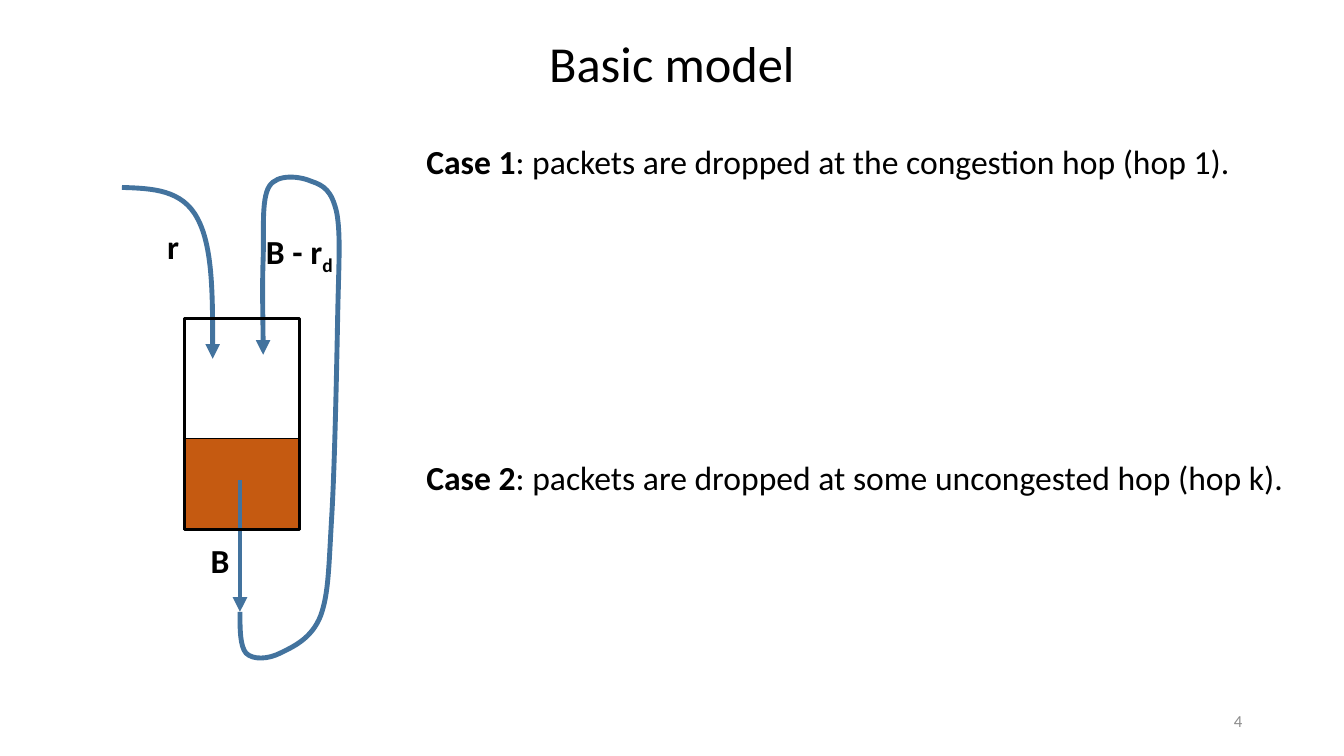
from lxml import etree
from pptx import Presentation
from pptx.dml.color import RGBColor
from pptx.enum.shapes import MSO_CONNECTOR, MSO_SHAPE
from pptx.enum.text import MSO_ANCHOR, PP_ALIGN
from pptx.oxml.ns import qn
from pptx.util import Inches, Pt

# Content: each label is (left, top, width, runs)
TITLE = "Basic model"
BOLD, LABEL_HEIGHT = {"bold": True}, 0.5
LABELS = [
    (1.56, 2.19, 0.36, [("r", BOLD)]),
    (2.54, 2.24, 1.04, [("B - r", BOLD), ("d", {"bold": True, "sub": True})]),
    (1.99, 5.31, 0.33, [("B", BOLD)]),
    (4.13, 1.35, 8.23, [
        ("Case 1", BOLD),
        (": packets are dropped at the congestion hop (hop 1).", {})]),
    (4.13, 4.48, 8.81, [
        ("Case 2", BOLD),
        (": packets are dropped at some uncongested hop (hop k).", {})]),
]
PAGE_NUMBER = "4"

# Flows: start point, then two control points and an end point per curve
INFLOW = [
    (1.21, 1.86),
    (1.51, 1.87), (1.81, 1.88), (1.96, 2.17),
    (2.11, 2.45), (2.11, 3.01), (2.11, 3.56),
]
RETURN_FLOW = [
    (2.38, 6.07),
    (2.38, 6.24), (2.38, 6.41), (2.44, 6.48),
    (2.51, 6.55), (2.66, 6.54), (2.78, 6.48),
    (2.90, 6.42), (3.09, 6.34), (3.18, 6.11),
    (3.26, 5.89), (3.26, 5.63), (3.29, 5.13),
    (3.32, 4.63), (3.34, 3.62), (3.35, 3.11),
    (3.36, 2.61), (3.38, 2.33), (3.34, 2.11),
    (3.29, 1.89), (3.21, 1.84), (3.09, 1.80),
    (2.98, 1.75), (2.75, 1.72), (2.67, 1.85),
    (2.59, 1.98), (2.62, 2.30), (2.61, 2.57),
    (2.60, 2.85), (2.61, 3.19), (2.61, 3.52),
]
CURVED_FLOWS = [
    ((1.21, 1.86, 0.9, 1.7), INFLOW),
    ((2.38, 1.76, 0.98, 4.77), RETURN_FLOW),
]
OUTFLOW = (2.38, 4.76, 2.38, 6.07)
QUEUE = (1.82, 4.35, 1.16, 0.9)
BUFFER = (1.83, 3.16, 1.14, 2.09)

COLORS = {"flow": "43739E", "queue": "C55A11", "ink": "000000", "page": "8C8C8C"}


def color(name):
    return RGBColor.from_string(COLORS[name])


def move(part, place):
    for key, value in zip(("left", "top", "width", "height"), place):
        setattr(part, key, Inches(value))


def write(frame, runs, size, ink="ink", align=PP_ALIGN.LEFT, anchor=MSO_ANCHOR.TOP):
    frame.word_wrap = True
    frame.vertical_anchor = anchor
    paragraph = frame.paragraphs[0]
    paragraph.alignment = align
    for text, style in runs:
        run = paragraph.add_run()
        run.text = text
        formats = {"name": "Calibri", "size": Pt(size), "bold": style.get("bold", False)}
        for key, value in formats.items():
            setattr(run.font, key, value)
        run.font.color.rgb = color(ink)
        if style.get("sub"):
            run.font._element.set("baseline", "-25000")


def add_label(slide, left, top, width, height, runs, size, **options):
    box = slide.shapes.add_textbox(*map(Inches, (left, top, width, height)))
    write(box.text_frame, runs, size, **options)


def style_flow(flow):
    flow.line.color.rgb = color("flow")
    flow.line.width = Pt(3.5)
    etree.SubElement(flow.line._get_or_add_ln(), qn("a:tailEnd"), type="triangle")


def add_curve(slide, place, knots):
    builder = slide.shapes.build_freeform(*map(Inches, knots[0]))
    builder.add_line_segments([tuple(map(Inches, knot)) for knot in knots[1:]], close=False)
    curve = builder.convert_to_shape()
    curve.shadow.inherit = False
    curve.fill.background()
    style_flow(curve)

    # Turn each three line points into one cubic curve, measured from the place
    move(curve, place)
    outline = next(curve._element.iter(qn("a:path")))
    outline.set("w", str(curve.width))
    outline.set("h", str(curve.height))
    points = list(outline.iter(qn("a:pt")))
    for point, (x, y) in zip(points, knots):
        point.set("x", str(Inches(x) - curve.left))
        point.set("y", str(Inches(y) - curve.top))
    for line in outline.findall(qn("a:lnTo")):
        outline.remove(line)
    for first in range(1, len(points), 3):
        bezier = etree.SubElement(outline, qn("a:cubicBezTo"))
        bezier.extend(points[first:first + 3])


def add_box(slide, place, line_width, fill=None):
    box = slide.shapes.add_shape(MSO_SHAPE.RECTANGLE, *map(Inches, place))
    box.shadow.inherit = False
    if fill:
        box.fill.solid()
        box.fill.fore_color.rgb = color(fill)
    else:
        box.fill.background()
    box.line.color.rgb = color("ink")
    box.line.width = Pt(line_width)


def main():
    prs = Presentation()
    prs.slide_width, prs.slide_height = Inches(13.33), Inches(7.5)
    slide = prs.slides.add_slide(prs.slide_layouts[5])

    # Title
    title = slide.shapes.title
    move(title, (2.52, 0.27, 8.29, 0.71))
    write(title.text_frame, [(TITLE, {})], 36, align=PP_ALIGN.CENTER)

    # Buffer with its queue and flows
    for place, knots in CURVED_FLOWS:
        add_curve(slide, place, knots)
    add_box(slide, QUEUE, 1, "queue")
    outflow = slide.shapes.add_connector(MSO_CONNECTOR.STRAIGHT, *map(Inches, OUTFLOW))
    style_flow(outflow)
    etree.SubElement(outflow._element.spPr, qn("a:effectLst"))
    add_box(slide, BUFFER, 2.25)

    # Labels, cases and page number
    for left, top, width, runs in LABELS:
        add_label(slide, left, top, width, LABEL_HEIGHT, runs, 24)
    add_label(slide, 9.42, 6.95, 3, 0.4, [(PAGE_NUMBER, {})], 12, ink="page",
              align=PP_ALIGN.RIGHT, anchor=MSO_ANCHOR.MIDDLE)

    prs.save("out.pptx")


if __name__ == "__main__":
    main()
